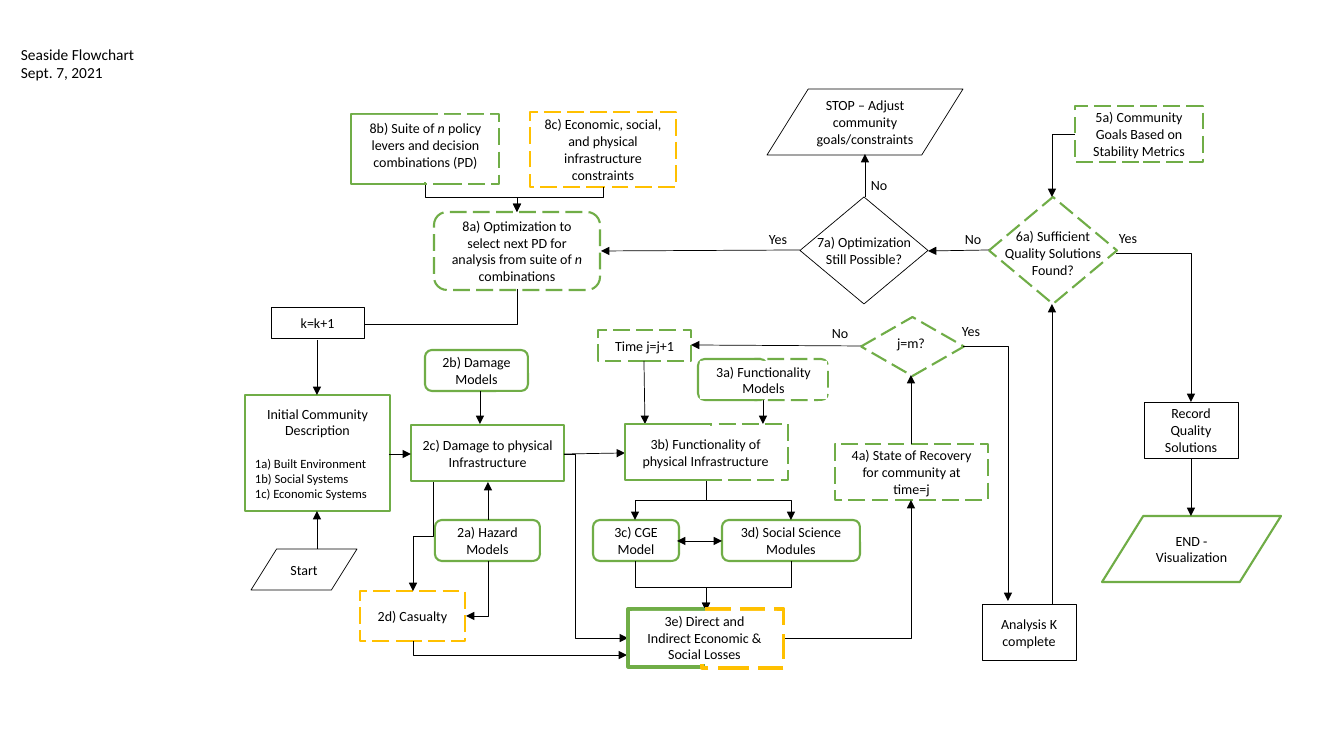
from lxml.etree import SubElement
from pptx import Presentation
from pptx.dml.color import RGBColor
from pptx.enum.dml import MSO_LINE
from pptx.enum.shapes import MSO_CONNECTOR, MSO_SHAPE
from pptx.enum.text import MSO_ANCHOR, PP_ALIGN
from pptx.oxml.ns import qn
from pptx.util import Emu, Pt

PIXEL = 914400 / 100.8
BLACK, WHITE, GREEN, GOLD = "000000", "FFFFFF", "70AD47", "FFC000"
RECT, ROUND = MSO_SHAPE.RECTANGLE, MSO_SHAPE.ROUNDED_RECTANGLE
DIAMOND, SLANTED = MSO_SHAPE.DIAMOND, MSO_SHAPE.PARALLELOGRAM
CENTER, LEFT = PP_ALIGN.CENTER, PP_ALIGN.LEFT
THIN, MEDIUM, THICK = 0.5, 1.5, 2.25


def px(length):
    """Turn picture pixels into EMU."""
    return Emu(round(length * PIXEL))


def color(hex_code):
    """Turn a hex string into a colour."""
    return RGBColor.from_string(hex_code)


def apply(target, formats):
    """Set every attribute of a format dict on the target."""
    for name, value in formats.items():
        setattr(target, name, value)


class Flowchart:
    """Holds the style and the slide that the chart is drawn on."""

    font = {"name": "Calibri", "size": Pt(10)}

    def __init__(self, slide):
        """Keep the shapes of the slide."""
        self.shapes = slide.shapes

    def fill_text(self, frame, text, align=CENTER, size=10, **formats):
        """Fill a text frame, one paragraph a line; *stars* mark italics."""
        apply(frame, {"word_wrap": True, **formats})
        for index, line in enumerate(text.split("\n")):
            paragraph = frame.paragraphs[0] if index == 0 else frame.add_paragraph()
            self.add_line(paragraph, line, align, size)

    def add_line(self, paragraph, line, align, size):
        """Add the runs of one paragraph."""
        paragraph.alignment = align
        for index, part in enumerate(line.split("*")):
            run = paragraph.add_run()
            run.text = part
            apply(run.font, {**self.font, "size": Pt(size), "italic": index % 2 == 1})
            run.font.color.rgb = color(BLACK)

    def node(self, box, text="", kind=RECT, line=BLACK, dashed=False,
             width=None, fill=WHITE, anchor=MSO_ANCHOR.MIDDLE):
        """Draw one outlined step; line None leaves the outline off."""
        step = self.shapes.add_shape(kind, *map(px, box))
        step.shadow.inherit = False
        if kind == SLANTED:
            step.adjustments[0] = 0.625
        if fill:
            step.fill.solid()
            step.fill.fore_color.rgb = color(fill)
        else:
            step.fill.background()
        if line:
            step.line.color.rgb = color(line)
            step.line.width = Pt(width or (THIN if line == BLACK else MEDIUM))
            if dashed:
                step.line.dash_style = MSO_LINE.LONG_DASH
        else:
            step.line.fill.background()
        if text:
            self.fill_text(step.text_frame, text, vertical_anchor=anchor)
        return step

    def split_node(self, halves, label_box, text, **label_style):
        """Draw a step whose outline changes style half way."""
        for box, style in halves:
            self.node(box, **style)
        self.node(label_box, text, line=None, **label_style)

    def label(self, box, text, align=LEFT, size=10, wrap=False):
        """Draw free text."""
        note = self.shapes.add_textbox(*map(px, box))
        self.fill_text(note.text_frame, text, align, size, word_wrap=wrap)

    def arrow(self, *points, heads=("tailEnd",)):
        """Draw a connector through right-angled points."""
        (x0, y0), (x1, y1) = points[0], points[-1]
        bent = len(points) > 2
        upright = bent and points[0][0] == points[1][0]
        begin, end = (x0, y0), (x1, y1)
        if upright:
            mid_x, mid_y, dx, dy = (x0 + x1) / 2, (y0 + y1) / 2, x1 - x0, y1 - y0
            begin = (mid_x - dy / 2, mid_y + dx / 2)
            end = (mid_x + dy / 2, mid_y - dx / 2)
        kind = MSO_CONNECTOR.ELBOW if bent else MSO_CONNECTOR.STRAIGHT
        link = self.shapes.add_connector(kind, *map(px, begin + end))
        link.line.color.rgb = color(BLACK)
        link.line.width = Pt(THIN)
        properties = link._element.spPr
        if upright:
            properties.find(qn("a:xfrm")).set("rot", "5400000")
        geometry = properties.find(qn("a:prstGeom"))
        if len(points) == 3:
            geometry.set("prst", "bentConnector2")
        elif len(points) == 4:
            axis = 1 if upright else 0
            start, turn, stop = points[0][axis], points[1][axis], points[-1][axis]
            bend = round((turn - start) / (stop - start) * 100000)
            guides = geometry.find(qn("a:avLst"))
            if guides is None:
                guides = SubElement(geometry, qn("a:avLst"))
            SubElement(guides, qn("a:gd"), name="adj1", fmla=f"val {bend}")
        for head in heads:
            SubElement(properties.find(qn("a:ln")), qn(f"a:{head}"), type="triangle")
        SubElement(properties, qn("a:effectLst"))


deck = Presentation()
deck.slide_width, deck.slide_height = px(1344), px(756)
chart = Flowchart(deck.slides.add_slide(deck.slide_layouts[6]))
solid = {"line": GREEN}
dashed = {"line": GREEN, "dashed": True}
gold = {"line": GOLD, "dashed": True}

chart.label((11, 40, 134, 47), "Seaside Flowchart\nSept. 7, 2021", size=11)

community = chart.node((245, 395, 145, 116), "Initial Community Description", **solid)
for number, system in enumerate(
        ("1a) Built Environment", "1b) Social Systems", "1c) Economic Systems")):
    entry = community.text_frame.add_paragraph()
    chart.add_line(entry, system, LEFT, 9)
    entry.space_before = Pt(0 if number else 12)

for box, text, kind, style in (
    ((251, 549, 106, 41), "Start", SLANTED, {}),
    ((411, 425, 153, 56), "2c) Damage to physical Infrastructure", RECT, solid),
    ((425, 350, 103, 41), "2b) Damage Models", ROUND, solid),
    ((435, 520, 105, 41), "2a) Hazard Models", ROUND, solid),
    ((593, 520, 86, 41), "3c) CGE Model", ROUND, solid),
    ((722, 520, 138, 41), "3d) Social Science Modules", ROUND, solid),
    ((835, 444, 153, 56), "4a) State of Recovery for community at time=j", RECT, dashed),
    ((861, 317, 103, 59), "", DIAMOND, dashed),
    ((598, 330, 93, 31), "Time j=j+1", RECT, dashed),
    ((982, 604, 94, 56), "Analysis K complete", RECT, {}),
    ((989, 197, 128, 107), "", DIAMOND, dashed),
    ((800, 197, 128, 107), "", DIAMOND, {}),
    ((1144, 402, 94, 56), "Record Quality Solutions", RECT, {}),
    ((1102, 516, 179, 66), "END - Visualization", SLANTED, solid),
    ((1075, 106, 128, 56), "5a) Community Goals Based on Stability Metrics", RECT, dashed),
    ((767, 89, 196, 66), "STOP – Adjust community goals/constraints", SLANTED, {}),
    ((434, 212, 166, 78), "8a) Optimization to select next PD for analysis from suite "
     "of *n* combinations", ROUND, dashed),
    ((530, 112, 146, 75), "8c) Economic, social, and physical infrastructure constraints",
     RECT, gold),
    ((271, 307, 93, 31), "k=k+1", RECT, {}),
    ((360, 591, 105, 50), "2d) Casualty", RECT, gold),
):
    chart.node(box, text, kind, **style)

for route in (
    ((317, 549), (317, 511)),
    ((389, 454), (411, 454)),
    ((488, 520), (488, 482)),
    ((480, 391), (480, 424)),
    ((564, 454), (625, 453)),
    ((564, 454), (575, 454), (575, 638), (628, 638)),
    ((784, 638), (911, 638), (911, 500)),
    ((911, 444), (911, 375)),
    ((861, 346), (691, 345)),
    ((644, 361), (645, 424)),
    ((963, 346), (1008, 346), (1008, 601)),
    ((1052, 604), (1052, 304)),
    ((1116, 253), (1191, 253), (1191, 402)),
    ((1191, 459), (1191, 516)),
    ((1075, 134), (1052, 134), (1052, 197)),
    ((989, 250), (928, 251)),
    ((865, 197), (865, 154)),
    ((800, 250), (601, 251)),
    ((763, 399), (763, 424)),
    ((317, 340), (317, 395)),
    ((488, 561), (488, 616), (466, 616)),
    ((413, 641), (413, 655), (627, 655)),
    ((433, 482), (433, 536), (413, 536), (413, 591)),
):
    chart.arrow(*route)
for model_x in (635, 791):
    chart.arrow((706, 480), (706, 500), (model_x, 500), (model_x, 520))
    chart.arrow((model_x, 561), (model_x, 587), (706, 587), (706, 611))
for source_x, source_y in ((425, 181), (603, 187)):
    chart.arrow((source_x, source_y), (source_x, 197), (517, 197), (517, 212))
chart.arrow((677, 541), (722, 541), heads=("headEnd", "tailEnd"))
chart.arrow((517, 289), (517, 324), (364, 324), heads=())

heavy = {"width": THICK, "fill": None}
chart.split_node((((628, 609, 75, 58), {**solid, **heavy}), ((702, 609, 82, 59), {**gold, **heavy})),
                 (632, 611, 145, 53), "3e) Direct and Indirect Economic & Social Losses")
chart.split_node((((702, 424, 86, 56), dashed), ((625, 424, 86, 56), solid)),
                 (629, 426, 153, 53), "3b) Functionality of physical Infrastructure")
chart.split_node((((748, 359, 80, 41), {**dashed, "kind": ROUND}),
                  ((698, 359, 69, 41), {**solid, "kind": ROUND})),
                 (700, 361, 127, 38), "3a) Functionality Models")
chart.split_node((((401, 114, 98, 70), dashed), ((351, 114, 74, 70), solid)),
                 (353, 115, 145, 67), "8b) Suite of *n* policy levers and decision combinations (PD)",
                 anchor=MSO_ANCHOR.TOP)

for box, question in (
    ((990, 223, 126, 61), "6a) Sufficient Quality Solutions Found?"),
    ((801, 229, 126, 44), "7a) Optimization Still Possible?"),
    ((874, 330, 74, 27), "j=m?"),
):
    chart.label(box, question, CENTER, wrap=True)
for answer, width, places in (
    ("No", 37, ((822, 320), (955, 226), (861, 172))),
    ("Yes", 39, ((952, 318), (1109, 225), (759, 226))),
):
    for left, top in places:
        chart.label((left, top, width, 27), answer)

deck.save("out.pptx")
